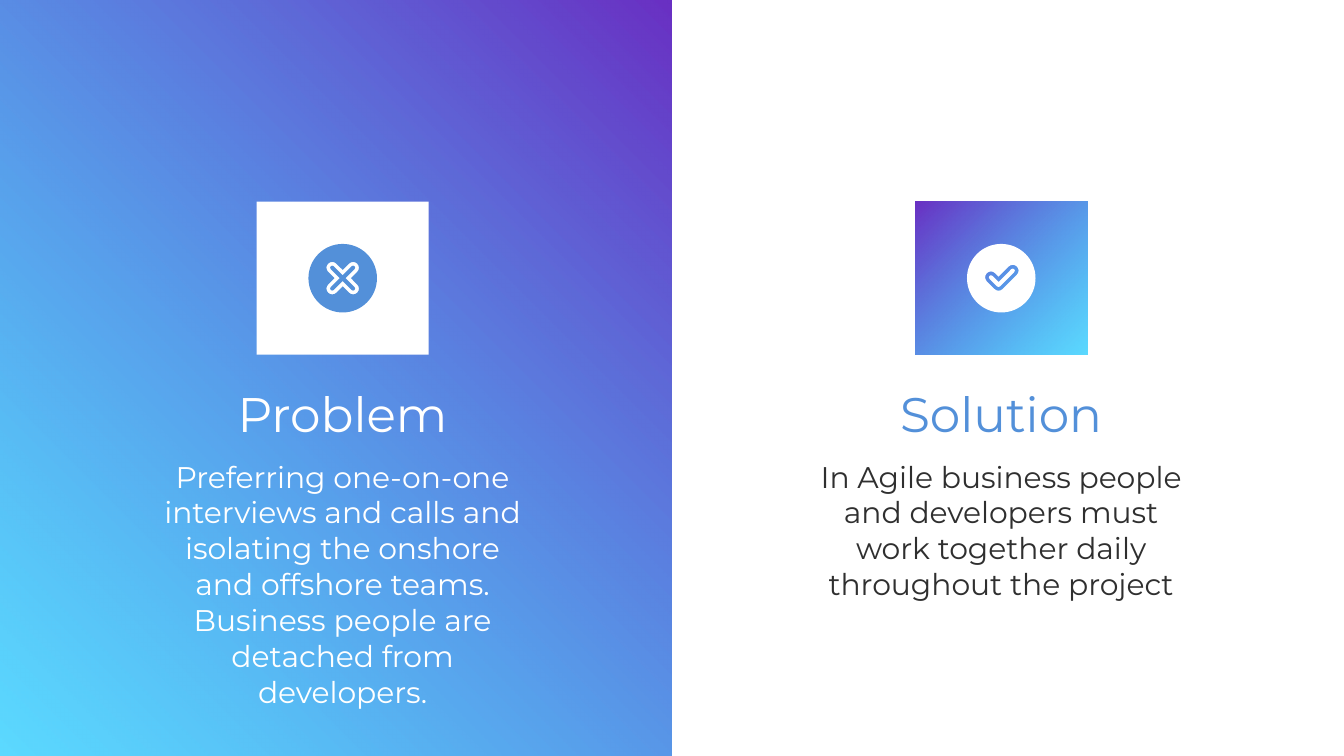
import math

import lxml.etree
import pptx
import pptx.dml.color
import pptx.enum.shapes
import pptx.enum.text
import pptx.oxml
import pptx.oxml.ns
import pptx.util

SLIDE_W, SLIDE_H = 10, 5.625
FONT = "Montserrat"
PURPLE, CYAN, BLUE, WHITE, DARK = "6930C3", "00C4FF", "5390D9", "FFFFFF", "2F2F2F"

TEXT_W = 2.96
TITLE_TOP, TITLE_H = 2.87, 0.41
BODY_TOP, BODY_H = 3.31, 1.05
TILE_W, TILE_H, TILE_TOP = 1.28, 1.14, 1.5
BADGE_R, BADGE_Y = 0.51 / 2, 2.07
OUTER_HALF, INNER_HALF = 0.17 * BADGE_R, 0.06 * BADGE_R

# Each mark: offset of its hub from the badge centre, and arms as (angle, length).
CROSS = ((0, 0), [(angle, 0.11) for angle in (-135, -45, 45, 135)])
CHECK = ((-0.02, 0.05), [(-135, 0.08), (-45, 0.15)])

COLUMNS = [
    {"title": "Problem",
     "body": "Preferring one-on-one interviews and calls and isolating the onshore "
             "and offshore teams. Business people are detached from developers.",
     "centre": 2.55, "title_color": WHITE, "body_color": WHITE,
     "tile": WHITE, "badge": BLUE, "mark": CROSS},
    {"title": "Solution",
     "body": "In Agile business people and developers must work together daily "
             "throughout the project",
     "centre": 7.45, "title_color": BLUE, "body_color": DARK,
     "tile": None, "badge": WHITE, "mark": CHECK},
]


def rgb(hex_color):
    return pptx.dml.color.RGBColor.from_string(hex_color)


def finish(shape, color):
    shape.shadow.inherit = False
    shape.line.fill.background()
    shape.fill.solid()
    shape.fill.fore_color.rgb = rgb(color)


def corner_gradient(shape, focus):
    """Fade from purple at the focus corner to translucent cyan."""
    shape.fill.background()
    properties = shape.fill._xPr
    no_fill = properties.find(pptx.oxml.ns.qn("a:noFill"))
    gradient = pptx.oxml.parse_xml(
        f'<a:gradFill {pptx.oxml.ns.nsdecls("a")}><a:gsLst>'
        f'<a:gs pos="0"><a:srgbClr val="{PURPLE}"/></a:gs>'
        f'<a:gs pos="100000"><a:srgbClr val="{CYAN}"><a:alpha val="64000"/></a:srgbClr></a:gs>'
        f'</a:gsLst><a:path path="circle"><a:fillToRect {focus}/></a:path><a:tileRect/>'
        '</a:gradFill>')
    properties.replace(no_fill, gradient)


def add_rectangle(slide, left, top, width, height, color):
    shape = slide.shapes.add_shape(
        pptx.enum.shapes.MSO_SHAPE.RECTANGLE,
        *map(pptx.util.Inches, (left, top, width, height)))
    finish(shape, color)
    return shape


def add_text(slide, text, centre, top, height, size, color, anchor):
    box = slide.shapes.add_textbox(
        *map(pptx.util.Inches, (centre - TEXT_W / 2, top, TEXT_W, height)))
    frame = box.text_frame
    frame.word_wrap = True
    frame.vertical_anchor = anchor
    frame.margin_left = frame.margin_right = pptx.util.Inches(0.1)
    frame.margin_top = frame.margin_bottom = pptx.util.Inches(0.1)
    frame.text = text
    paragraph = frame.paragraphs[0]
    paragraph.alignment = pptx.enum.text.PP_ALIGN.CENTER
    font = paragraph.runs[0].font
    font.name, font.size = FONT, pptx.util.Pt(size)
    font.color.rgb = rgb(color)


def polar(centre, angle, radius):
    turn = math.radians(angle)
    return centre[0] + radius * math.cos(turn), centre[1] + radius * math.sin(turn)


def arc(centre, radius, start, end):
    """Segments of an arc: a line to its start, then a Bezier curve per quarter."""
    count = round((end - start) / 90)
    handle = 4 / 3 * math.tan(math.radians(90) / 4) * radius
    segments = [[polar(centre, start, radius)]]
    for i in range(count):
        first, last = start + 90 * i, start + 90 * (i + 1)
        begin, stop = polar(centre, first, radius), polar(centre, last, radius)
        segments.append([polar(begin, first + 90, handle),
                         polar(stop, last - 90, handle), stop])
    return segments


def mark_outline(hub, arms, half):
    """Outline of round-ended arms, listed clockwise, that meet at the hub."""
    segments = []
    for i, (angle, length) in enumerate(arms):
        segments += arc(polar(hub, angle, length), half, angle - 90, angle + 90)
        gap = (arms[(i + 1) % len(arms)][0] - angle) % 360
        if gap < 180:
            reach = half / math.sin(math.radians(gap / 2))
            segments.append([polar(hub, angle + gap / 2, reach)])
        else:
            segments += arc(hub, half, angle + 90, angle + gap - 90)
    return segments


def add_outline(shapes, contours, color):
    builder = None
    for contour in contours:
        start, *points = [tuple(map(pptx.util.Inches, point))
                          for segment in contour for point in segment]
        if builder is None:
            builder = shapes.build_freeform(*start)
        else:
            builder.move_to(*start)
        builder.add_line_segments(points, close=True)
    shape = builder.convert_to_shape()
    finish(shape, color)
    bend_curves(shape, contours)


def bend_curves(shape, contours):
    """Join each three lines that stand for a curve into one Bezier segment."""
    qn = pptx.oxml.ns.qn
    lines = iter(list(shape._element.iter(qn("a:lnTo"))))
    for contour in contours:
        for segment in contour[1:]:
            parts = [next(lines) for _ in segment]
            if len(parts) == 3:
                curve = lxml.etree.Element(qn("a:cubicBezTo"))
                parts[0].addprevious(curve)
                for part in parts:
                    curve.append(part[0])
                    part.getparent().remove(part)


def add_badge(slide, centre, mark, color):
    offset, arms = mark
    hub = (centre + offset[0], BADGE_Y + offset[1])
    disc = arc((centre, BADGE_Y), BADGE_R, 0, 360)
    group = slide.shapes.add_group_shape()
    add_outline(group.shapes, [disc, mark_outline(hub, arms, OUTER_HALF)], color)
    add_outline(group.shapes, [mark_outline(hub, arms, INNER_HALF)], color)


def main():
    deck = pptx.Presentation()
    deck.slide_width = pptx.util.Inches(SLIDE_W)
    deck.slide_height = pptx.util.Inches(SLIDE_H)
    slide = deck.slides.add_slide(deck.slide_layouts[6])

    panel = add_rectangle(slide, 0, 0, SLIDE_W / 2, SLIDE_H, PURPLE)
    corner_gradient(panel, 'l="100000" b="100000"')

    anchors = pptx.enum.text.MSO_ANCHOR
    for column in COLUMNS:
        centre = column["centre"]
        add_text(slide, column["body"], centre, BODY_TOP, BODY_H, 16,
                 column["body_color"], anchors.TOP)
        add_text(slide, column["title"], centre, TITLE_TOP, TITLE_H, 26,
                 column["title_color"], anchors.MIDDLE)
        tile = add_rectangle(slide, centre - TILE_W / 2, TILE_TOP, TILE_W, TILE_H,
                             column["tile"] or PURPLE)
        if column["tile"] is None:
            corner_gradient(tile, 'r="100000" b="100000"')
        add_badge(slide, centre, column["mark"], column["badge"])

    deck.save("out.pptx")


if __name__ == "__main__":
    main()
